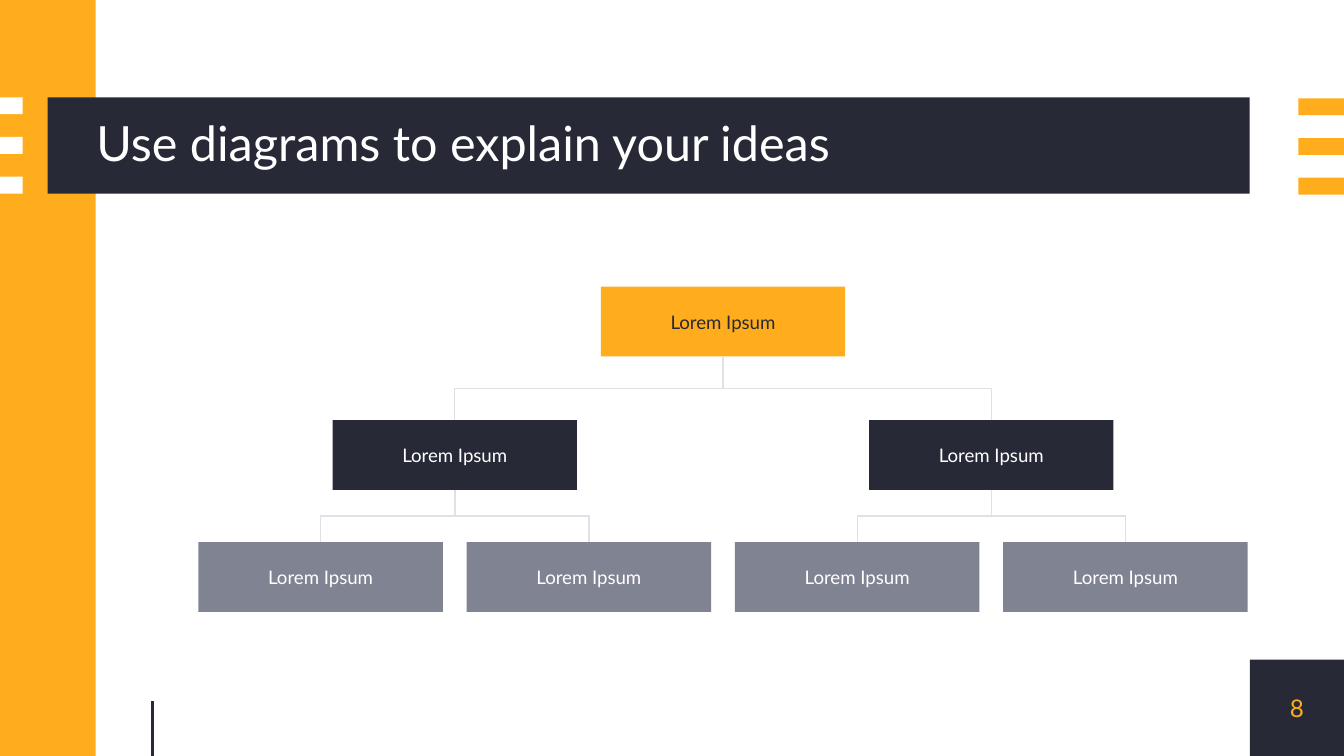
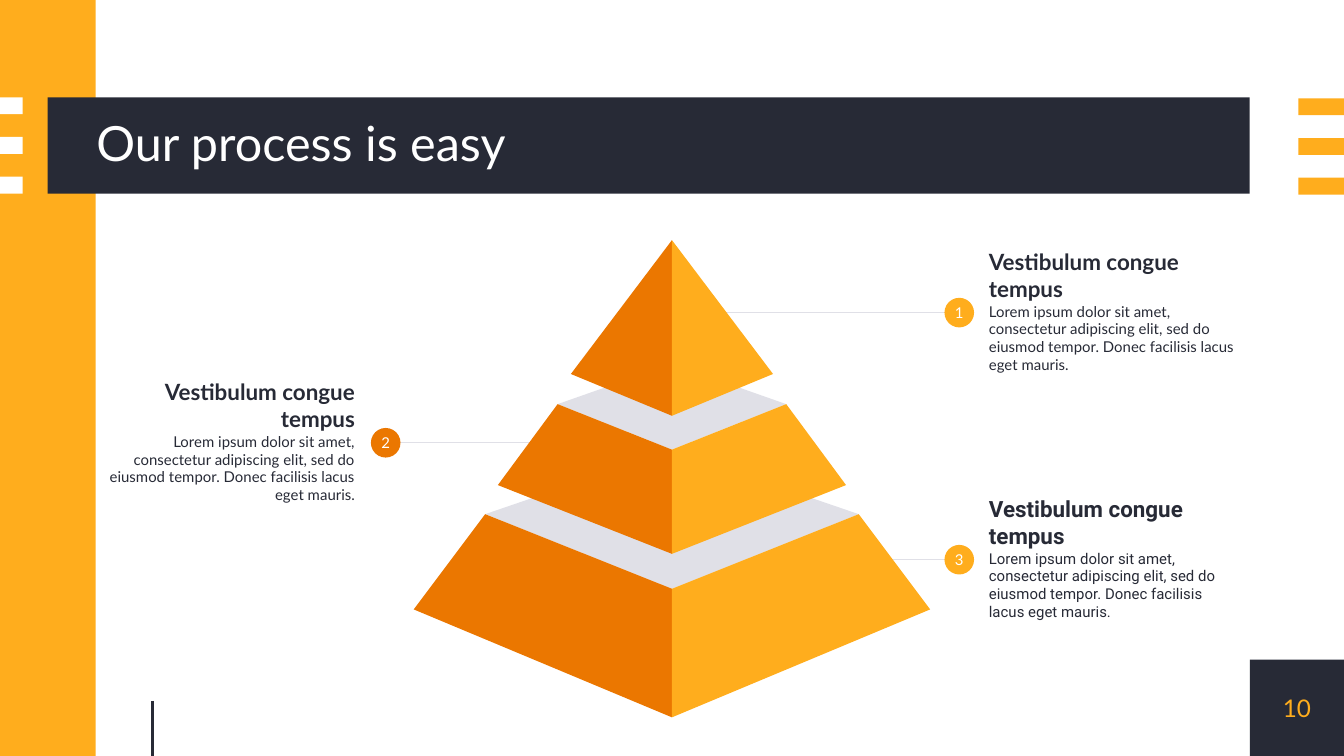
from pptx import Presentation
from pptx.dml.color import RGBColor as RGB
from pptx.enum.shapes import MSO_CONNECTOR as CXN, MSO_SHAPE as SHP
from pptx.enum.text import MSO_ANCHOR as ANCHOR, MSO_AUTO_SIZE as FIT, PP_ALIGN as AL
from pptx.oxml.ns import qn
from pptx.util import Cm, Pt
from lxml import etree

COLORS = {
    "amber": "FFAD1D",
    "orange": "EB7700",
    "navy": "272A36",
    "slate": "808392",
    "mist": "E0E0E7",
    "white": "FFFFFF",
}
FONT = "Lato"
WIDTH, HEIGHT = 25.4, 14.29
BAND_TOP, BAND_H = 1.84, 1.82
BAND_RIGHT = 23.62


class Deck:
    """Holds the style and the current slide; all lengths are in cm."""

    def __init__(self):
        self.prs = Presentation()
        self.prs.slide_width, self.prs.slide_height = Cm(WIDTH), Cm(HEIGHT)
        self.s = None

    def color(self, name):
        return RGB.from_string(COLORS[name])

    def new_slide(self, title, number):
        self.s = self.prs.slides.add_slide(self.prs.slide_layouts[5])
        # Frame shared by all slides
        corner_top = HEIGHT - BAND_H
        corner = self.shape(BAND_RIGHT, corner_top, WIDTH - BAND_RIGHT, BAND_H, "navy")
        self.shape(0, 0, 1.81, HEIGHT, "amber")
        self.shape(0.9, BAND_TOP, BAND_RIGHT - 0.9, BAND_H, "navy")
        for i in range(3):
            y = BAND_TOP + 0.75 * i
            self.shape(0, y, 0.43, 0.32, "white")
            self.shape(24.54, y + 0.02, 0.86, 0.32, "amber")
        self.line(2.88, 13.25, 2.88, HEIGHT, "navy", 1.5)
        self.label(corner, number, 13, "amber")
        self.title(title)

    def title(self, text):
        sp = self.s.shapes.title
        sp.left, sp.top, sp.width, sp.height = Cm(1.82), Cm(BAND_TOP), Cm(21.8), Cm(BAND_H)
        sp.text_frame.auto_size = FIT.NONE
        self.label(sp, text, 26, "white", AL.LEFT)
        sp.text_frame.paragraphs[0].line_spacing = 0.9
        # Bring the title in front of its band
        sp.element.getparent().append(sp.element)

    def fill(self, sp, color):
        sp.shadow.inherit = False
        sp.fill.solid()
        sp.fill.fore_color.rgb = self.color(color)
        sp.line.fill.background()
        return sp

    def shape(self, x, y, w, h, color, kind=SHP.RECTANGLE):
        sp = self.s.shapes.add_shape(kind, Cm(x), Cm(y), Cm(w), Cm(h))
        return self.fill(sp, color)

    def polygon(self, points, color):
        start, *rest = [(Cm(x), Cm(y)) for x, y in dict.fromkeys(points)]
        fb = self.s.shapes.build_freeform(*start)
        fb.add_line_segments(rest, close=True)
        return self.fill(fb.convert_to_shape(), color)

    def style_text(self, p, size, color, align, font=FONT, bold=False):
        p.alignment = align
        for r in p.runs:
            r.font.name, r.font.size, r.font.bold = font, Pt(size), bold
            r.font.color.rgb = self.color(color)

    def frame(self, sp, inset):
        tf = sp.text_frame
        tf.word_wrap = True
        tf.vertical_anchor = ANCHOR.MIDDLE
        tf.margin_left = tf.margin_right = tf.margin_top = tf.margin_bottom = Cm(inset)
        return tf

    def label(self, sp, text, size, color, align=AL.CENTER, inset=0):
        tf = self.frame(sp, inset)
        tf.text = text
        self.style_text(tf.paragraphs[0], size, color, align)

    def note(self, x, y, heading, body, align, font):
        sp = self.s.shapes.add_textbox(Cm(x), Cm(y), Cm(5.18), Cm(3.84))
        tf = self.frame(sp, 0.25)
        tf.text = heading
        self.style_text(tf.paragraphs[0], 12, "navy", align, font, True)
        p = tf.add_paragraph()
        p.text = body
        p.space_after = Pt(16)
        self.style_text(p, 8, "navy", align, font)

    def style_line(self, c, color, width):
        c.line.color.rgb = self.color(color)
        c.line.width = Pt(width)
        etree.SubElement(c.element.spPr, qn("a:effectLst"))

    def line(self, x1, y1, x2, y2, color="mist", width=0.75):
        c = self.s.shapes.add_connector(CXN.STRAIGHT, Cm(x1), Cm(y1), Cm(x2), Cm(y2))
        self.style_line(c, color, width)

    def branch(self, parent, child):
        """Elbow from the bottom of parent to the top of child."""
        c = self.s.shapes.add_connector(CXN.ELBOW, 0, 0, 0, 0)
        c.begin_connect(parent, 2)
        c.end_connect(child, 0)
        x1, y1 = parent.left + parent.width // 2, parent.top + parent.height
        x2, y2 = child.left + child.width // 2, child.top
        # The elbow leaves vertically, so its frame is turned a quarter
        c.width, c.height = y2 - y1, abs(x2 - x1)
        c.left = (x1 + x2 - c.width) // 2
        c.top = (y1 + y2 - c.height) // 2
        to_right = x2 > x1
        xfrm = c.element.spPr.find(qn("a:xfrm"))
        xfrm.set("rot", "16200000" if to_right else "5400000")
        xfrm.set("flipH", "1" if to_right else "0")
        self.style_line(c, "mist", 0.75)


def org_chart(d):
    d.new_slide("Use diagrams to explain your ideas", "8")
    # Each level: top, fill, text colour, column positions
    levels = [
        (5.42, "amber", "navy", [1.5]),
        (7.94, "navy", "white", [0.5, 2.5]),
        (10.25, "slate", "white", [0, 1, 2, 3]),
    ]
    parents = []
    for top, fill, ink, columns in levels:
        boxes = []
        for i, col in enumerate(columns):
            box = d.shape(3.75 + 5.07 * col, top, 4.62, 1.32, fill)
            d.label(box, "Lorem Ipsum", 10, ink, inset=0.25)
            if parents:
                d.branch(parents[i // 2], box)
            boxes.append(box)
        parents = boxes


def pyramid(d):
    d.new_slide("Our process is easy", "10")
    heading = "Vestibulum congue tempus"
    body = ("Lorem ipsum dolor sit amet, consectetur adipiscing elit, "
            "sed do eiusmod tempor. Donec facilisis lacus eget mauris.")

    # Callouts: number, line start, centre height, fill, font, on the right
    callouts = [
        ("3", 16.76, 10.58, "amber", "Roboto", True),
        ("2", 10.08, 8.37, "orange", FONT, False),
        ("1", 13.64, 5.91, "amber", FONT, True),
    ]
    dot = 0.56
    for number, start, y, color, font, right in callouts:
        dot_x, note_x = (17.85, 18.44) if right else (7.01, 1.78)
        d.line(start, y, dot_x + dot / 2, y)
        d.note(note_x, y - 1.95, heading, body, AL.LEFT if right else AL.RIGHT, font)
        badge = d.shape(dot_x, y - dot / 2, dot, dot, color, SHP.OVAL)
        d.label(badge, number, 8, "white")

    # Tiers: lid back, lid half width and height, lid front,
    # base half width and height, base front
    tiers = [
        (8.51, 3.53, 9.72, 11.13, 4.88, 11.52, 13.56),
        (6.88, 2.16, 7.64, 8.5, 3.29, 9.17, 10.47),
        (4.54, 0, 4.54, 4.54, 1.91, 7.07, 7.86),
    ]
    mid = WIDTH / 2
    for back, lid, lid_y, front, base, base_y, bottom in tiers:
        if lid:
            d.polygon([(mid - lid, lid_y), (mid, front), (mid + lid, lid_y), (mid, back)],
                      "mist")
        for side, color in ((-1, "orange"), (1, "amber")):
            d.polygon([(mid + side * lid, lid_y), (mid, front), (mid, bottom),
                       (mid + side * base, base_y)], color)


def main():
    d = Deck()
    org_chart(d)
    pyramid(d)
    d.prs.save("out.pptx")


if __name__ == "__main__":
    main()
